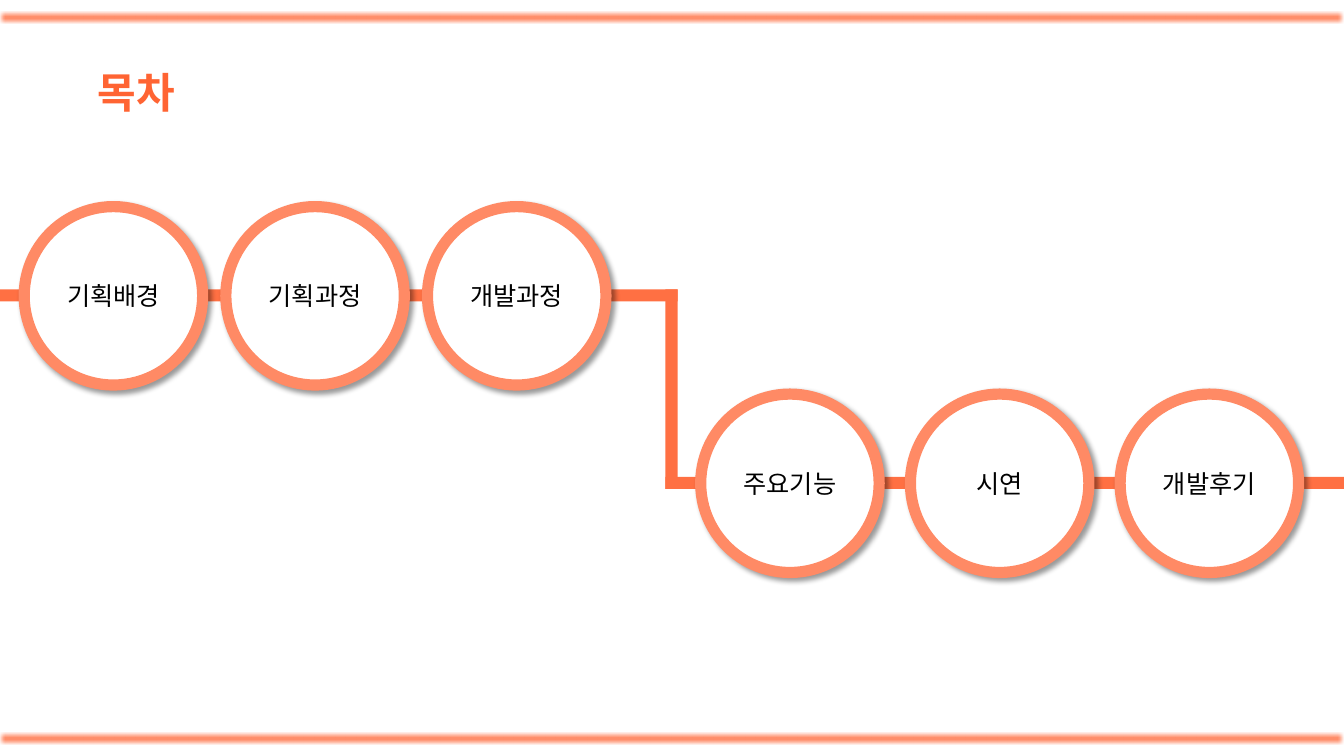
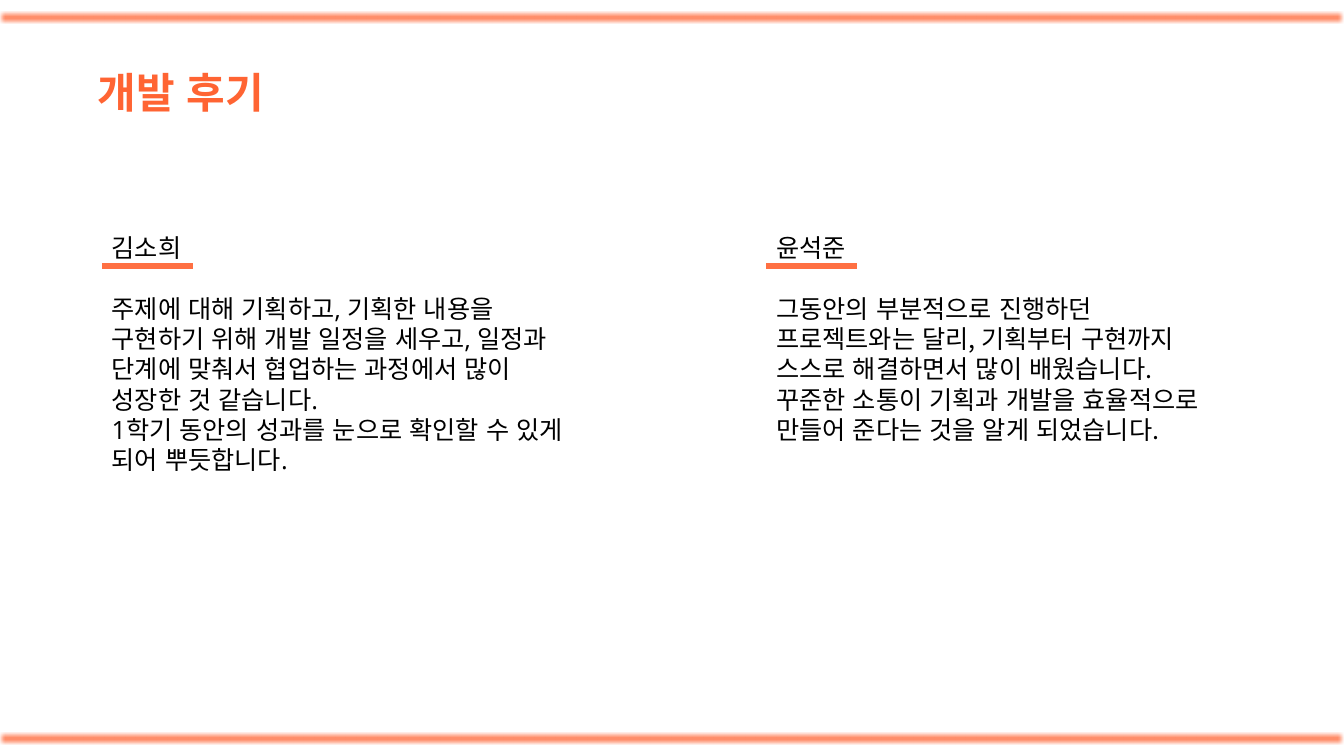
import pptx
import pptx.util
import pptx.dml.color
import pptx.oxml
import pptx.oxml.ns
import pptx.enum.shapes
import pptx.enum.text
import pptx.enum.lang
import lxml.etree

Inches = pptx.util.Inches
Pt = pptx.util.Pt
SHAPE = pptx.enum.shapes.MSO_SHAPE
qn = pptx.oxml.ns.qn

COLORS = {
    "paper": "FFFFFF",
    "ink": "000000",
    "title": "FF6433",
    "band": "FF4D15",
    "track": "FF7043",
    "ring": "FF8A65",
}
KOREAN_FONT = "Noto Sans CJK KR"
LATIN_FONT = "Open Sans"
SLIDE_W, SLIDE_H = 13.33, 7.5
BAR = 0.12


def rgb(name):
    return pptx.dml.color.RGBColor.from_string(COLORS[name])


def add_effect(shape, inner):
    props = shape._element.spPr
    for old in props.findall(qn("a:effectLst")):
        props.remove(old)
    ns = pptx.oxml.ns.nsdecls("a")
    props.append(pptx.oxml.parse_xml(f"<a:effectLst {ns}>{inner}</a:effectLst>"))


def add_block(s, kind, x, y, w, h, fill):
    shape = s.shapes.add_shape(kind, Inches(x), Inches(y), Inches(w), Inches(h))
    shape.shadow.inherit = False
    shape.fill.solid()
    shape.fill.fore_color.rgb = rgb(fill)
    shape.line.fill.background()
    return shape


def style_text(tf, size=18, color="ink", bold=False, font=KOREAN_FONT):
    for p in tf.paragraphs:
        for r in p.runs:
            r.font.size = Pt(size)
            r.font.bold = bold
            r.font.color.rgb = rgb(color)
            r.font.name = font
            r.font.language_id = pptx.enum.lang.MSO_LANGUAGE_ID.KOREAN
            ea = lxml.etree.SubElement(r.font._element, qn("a:ea"))
            ea.set("typeface", KOREAN_FONT)


def add_text(s, x, y, w, h, text, **style):
    tf = s.shapes.add_textbox(Inches(x), Inches(y), Inches(w), Inches(h)).text_frame
    tf.word_wrap = True
    tf.auto_size = pptx.enum.text.MSO_AUTO_SIZE.SHAPE_TO_FIT_TEXT
    tf.text = text
    style_text(tf, **style)


def add_band(s, y):
    band = add_block(s, SHAPE.RECTANGLE, 0, y, SLIDE_W, BAR, "band")
    color = band._element.spPr.find(qn("a:solidFill"))[0]
    lxml.etree.SubElement(color, qn("a:alpha")).set("val", "80000")
    add_effect(band, '<a:softEdge rad="31750"/>')


def add_frame(s, title):
    for y in (0.11, 7.27):
        add_band(s, y)
    add_text(s, 0.87, 0.61, 2.48, 0.61, title, size=30, color="title", bold=True)


def add_step(s, x, y, size, label):
    ring = add_block(s, SHAPE.OVAL, x, y, size, size, "paper")
    ring.line.color.rgb = rgb("ring")
    ring.line.width = Pt(8)
    add_effect(
        ring,
        '<a:outerShdw blurRad="50800" dist="38100" dir="2700000" algn="tl" '
        f'rotWithShape="0"><a:srgbClr val="{COLORS["ink"]}">'
        '<a:alpha val="40000"/></a:srgbClr></a:outerShdw>',
    )
    tf = ring.text_frame
    tf.text = label
    tf.vertical_anchor = pptx.enum.text.MSO_ANCHOR.MIDDLE
    tf.paragraphs[0].alignment = pptx.enum.text.PP_ALIGN.CENTER
    style_text(tf)


def add_step_row(s, x, y, pitch, labels):
    for i, label in enumerate(labels):
        add_step(s, x + i * pitch, y, 1.77, label)


def add_track(s, upper, lower, turn):
    half = BAR / 2
    boxes = (
        (turn - half, lower, SLIDE_W - turn + half, BAR),
        (0, upper, turn + half, BAR),
        (turn - half, upper, BAR, lower + BAR - upper),
    )
    for box in boxes:
        add_block(s, SHAPE.RECTANGLE, *box, "track")


def add_review(s, x, y, name, text, font):
    add_block(s, SHAPE.ROUNDED_RECTANGLE, x, y, 5.91, 2.76, "paper")
    left = x + 0.59
    add_text(s, left, y + 0.39, 4.72, 1.97, text, font=font)
    add_text(s, left, y - 0.21, 1.25, 0.4, name)
    rule = s.shapes.add_connector(
        pptx.enum.shapes.MSO_CONNECTOR.STRAIGHT,
        Inches(left), Inches(y + 0.17), Inches(left + 0.9), Inches(y + 0.17),
    )
    rule.line.color.rgb = rgb("track")
    rule.line.width = Pt(4.5)
    add_effect(rule, "")


def add_slide(prs):
    s = prs.slides.add_slide(prs.slide_layouts[6])
    s.background.fill.solid()
    s.background.fill.fore_color.rgb = rgb("paper")
    return s


def build_contents(prs):
    s = add_slide(prs)
    add_track(s, 2.87, 4.73, 6.66)
    add_frame(s, "목차")
    add_step_row(s, 0.24, 2.05, 2.0, ("기획배경", "기획과정", "개발과정"))
    add_step_row(s, 6.95, 3.91, 2.08, ("주요기능", "시연", "개발후기"))


def build_reviews(prs):
    s = add_slide(prs)
    add_frame(s, "개발 후기")
    reviews = (
        ("김소희",
         "주제에 대해 기획하고, 기획한 내용을 구현하기 위해 개발 일정을 세우고, "
         "일정과 단계에 맞춰서 협업하는 과정에서 많이 성장한 것 같습니다.\n"
         "1학기 동안의 성과를 눈으로 확인할 수 있게 되어 뿌듯합니다.",
         LATIN_FONT),
        ("윤석준",
         "그동안의 부분적으로 진행하던 프로젝트와는 달리, 기획부터 구현까지 "
         "스스로 해결하면서 많이 배웠습니다.\n"
         "꾸준한 소통이 기획과 개발을 효율적으로 만들어 준다는 것을 알게 되었습니다.",
         KOREAN_FONT),
    )
    for i, review in enumerate(reviews):
        add_review(s, 0.42 + i * 6.59, 2.47, *review)


def main():
    prs = pptx.Presentation()
    prs.slide_width = Inches(SLIDE_W)
    prs.slide_height = Inches(SLIDE_H)
    build_contents(prs)
    build_reviews(prs)
    prs.save("out.pptx")


if __name__ == "__main__":
    main()
